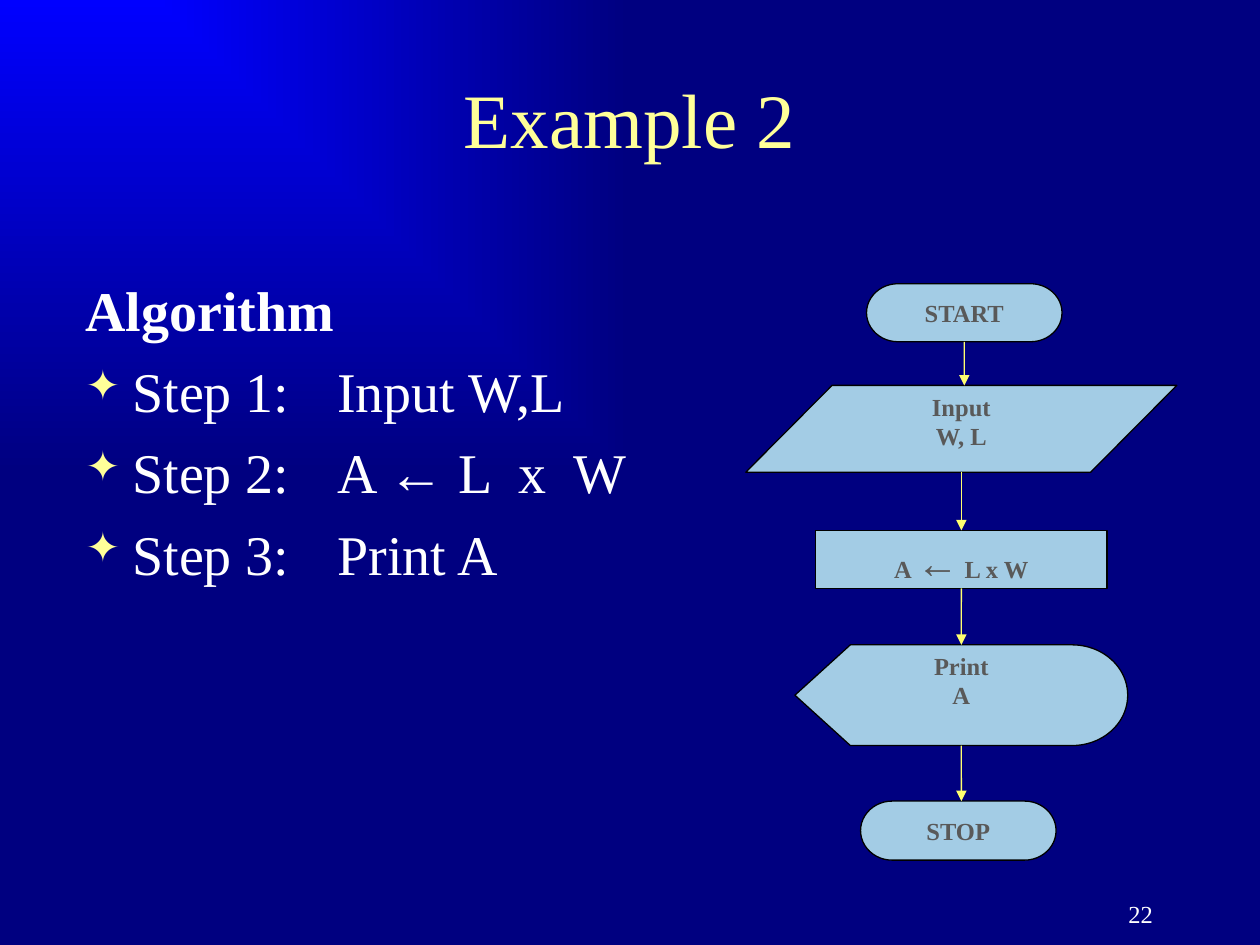
from lxml import etree
from pptx import Presentation
from pptx.dml.color import RGBColor
from pptx.enum.shapes import MSO_CONNECTOR, MSO_SHAPE
from pptx.enum.text import MSO_ANCHOR, PP_ALIGN
from pptx.oxml.ns import qn
from pptx.util import Cm, Pt

STRAIGHT = MSO_CONNECTOR.STRAIGHT
TERMINATOR = MSO_SHAPE.FLOWCHART_TERMINATOR
INPUT_OUTPUT = MSO_SHAPE.FLOWCHART_DATA
PROCESS = MSO_SHAPE.FLOWCHART_PROCESS
DISPLAY = MSO_SHAPE.FLOWCHART_DISPLAY
TOP, MIDDLE = MSO_ANCHOR.TOP, MSO_ANCHOR.MIDDLE
LEFT, CENTER, RIGHT = PP_ALIGN.LEFT, PP_ALIGN.CENTER, PP_ALIGN.RIGHT

BLUE = RGBColor(0x00, 0x00, 0xFF)
NAVY = RGBColor(0x00, 0x00, 0x80)
CREAM = RGBColor(0xFF, 0xFF, 0x99)
YELLOW = RGBColor(0xFF, 0xFF, 0x70)
WHITE = RGBColor(0xFF, 0xFF, 0xFF)
BLACK = RGBColor(0x00, 0x00, 0x00)
GREY = RGBColor(0x59, 0x59, 0x59)
PALE = RGBColor(0xCC, 0xFF, 0xFF)

SIDE_TOP, SIDE_BOTTOM = 0, 2
AXIS = 19.38  # centre line of the flowchart, cm


def add_child(parent, tag, **attributes):
    return etree.SubElement(parent, qn(tag), attributes)


def add_run(paragraph, text, size=14, color=GREY, bold=False, font="Times New Roman"):
    run = paragraph.add_run()
    run.text = text
    run.font.size = Pt(size)
    run.font.name = font
    run.font.bold = bold
    run.font.color.rgb = color


def prepare_frame(frame, anchor):
    frame.word_wrap = True
    frame.vertical_anchor = anchor
    return frame


def next_paragraph(frame, index, align):
    paragraph = frame.add_paragraph() if index else frame.paragraphs[0]
    paragraph.alignment = align
    return paragraph


def hang_indent(paragraph, bullet=None):
    properties = paragraph._p.get_or_add_pPr()
    properties.set("marL", str(Cm(0.95)))
    properties.set("indent", str(-Cm(0.95)))
    if bullet:
        color = add_child(properties, "a:buClr")
        add_child(color, "a:srgbClr", val=str(CREAM))
        add_child(properties, "a:buSzPct", val="75000")
        add_child(properties, "a:buChar", char=bullet)
    else:
        add_child(properties, "a:buNone")


class FlowSlide:
    def __init__(self, deck):
        self.slide = deck.slides.add_slide(deck.slide_layouts[5])
        self.flowchart = self.slide.shapes.add_group_shape()

    def background(self, corner, rest):
        """Gradient that spreads from the top left corner."""
        fill = self.slide.background.fill
        fill.gradient()
        for stop, color in zip(fill.gradient_stops, (corner, rest)):
            stop.color.rgb = color
        linear = next(self.slide._element.iter(qn("a:lin")))
        spread = etree.Element(qn("a:path"), {"path": "rect"})
        add_child(spread, "a:fillToRect", r="100000", b="100000")
        linear.getparent().replace(linear, spread)

    def title(self, text):
        title = self.slide.shapes.title
        title.left, title.top, title.width, title.height = (
            Cm(1.9), Cm(0.79), Cm(21.59), Cm(3.18))
        frame = prepare_frame(title.text_frame, MIDDLE)
        add_run(next_paragraph(frame, 0, CENTER), text, size=44, color=CREAM)

    def text_box(self, left, top, width, height, anchor=TOP):
        box = self.slide.shapes.add_textbox(Cm(left), Cm(top), Cm(width), Cm(height))
        return prepare_frame(box.text_frame, anchor)

    def algorithm(self, heading, steps):
        frame = self.text_box(1.47, 5.43, 22.86, 10.65)
        for index, text in enumerate([heading] + steps):
            paragraph = next_paragraph(frame, index, LEFT)
            if index:
                paragraph.space_before = Pt(8)
            hang_indent(paragraph, "✦" if index else None)
            add_run(paragraph, text, size=32, color=WHITE, bold=not index)

    def page_number(self, number):
        frame = self.text_box(18.21, 17.78, 5.28, 1.27, MIDDLE)
        add_run(next_paragraph(frame, 0, RIGHT), number, color=WHITE)

    def node(self, kind, lines, top, width, height, center=AXIS):
        """Flowchart symbol; each line is a list of (text, size, bold)."""
        node = self.flowchart.shapes.add_shape(
            kind, Cm(center - width / 2), Cm(top), Cm(width), Cm(height))
        node.shadow.inherit = False
        node.fill.solid()
        node.fill.fore_color.rgb = PALE
        tint = node._element.spPr.find(qn("a:solidFill"))[0]
        add_child(tint, "a:alpha", val="80000")
        node.line.color.rgb = BLACK
        node.line.width = Pt(0.75)
        frame = prepare_frame(node.text_frame, TOP)
        for index, line in enumerate(lines):
            paragraph = next_paragraph(frame, index, CENTER)
            for text, size, bold in line:
                add_run(paragraph, text, size=size, bold=bold)
        return node

    def arrow(self, x, upper, lower, join_upper=True, join_lower=True):
        arrow = self.flowchart.shapes.add_connector(
            STRAIGHT, Cm(x), upper.top + upper.height, Cm(x), lower.top)
        if join_upper:
            arrow.begin_connect(upper, SIDE_BOTTOM)
        if join_lower:
            arrow.end_connect(lower, SIDE_TOP)
        arrow.line.color.rgb = YELLOW
        arrow.line.width = Pt(0.75)
        add_child(arrow.line._get_or_add_ln(), "a:tailEnd", type="triangle")
        add_child(arrow._element.spPr, "a:effectLst")


def label(*lines):
    return [[(line, 14, True)] for line in lines]


def main():
    deck = Presentation()
    deck.slide_width, deck.slide_height = Cm(25.4), Cm(19.05)
    page = FlowSlide(deck)
    page.background(BLUE, NAVY)
    page.title("Example 2")
    page.algorithm("Algorithm", [
        "Step 1: \tInput W,L", "Step 2: \tA ← L  x  W", "Step 3: \tPrint A"])

    start_center, stop_center = AXIS + 0.06, AXIS - 0.06
    start = page.node(TERMINATOR, label("START"), 5.72, 3.94, 1.17, start_center)
    read = page.node(INPUT_OUTPUT, label("Input", "W, L"), 7.77, 8.69, 1.75)
    formula = [[("A ", 14, True), ("←", 24, False), (" L x W", 14, True)]]
    compute = page.node(PROCESS, formula, 10.69, 5.87, 1.17)
    show = page.node(DISPLAY, label("Print", "A"), 13, 6.71, 2.03)
    stop = page.node(TERMINATOR, label("STOP"), 16.15, 3.94, 1.19, stop_center)

    page.arrow(start_center, start, read, join_lower=False)
    page.arrow(AXIS, read, compute, join_upper=False)
    page.arrow(AXIS, compute, show)
    page.arrow(AXIS, show, stop, join_lower=False)

    page.page_number("22")
    deck.save("out.pptx")


if __name__ == "__main__":
    main()
